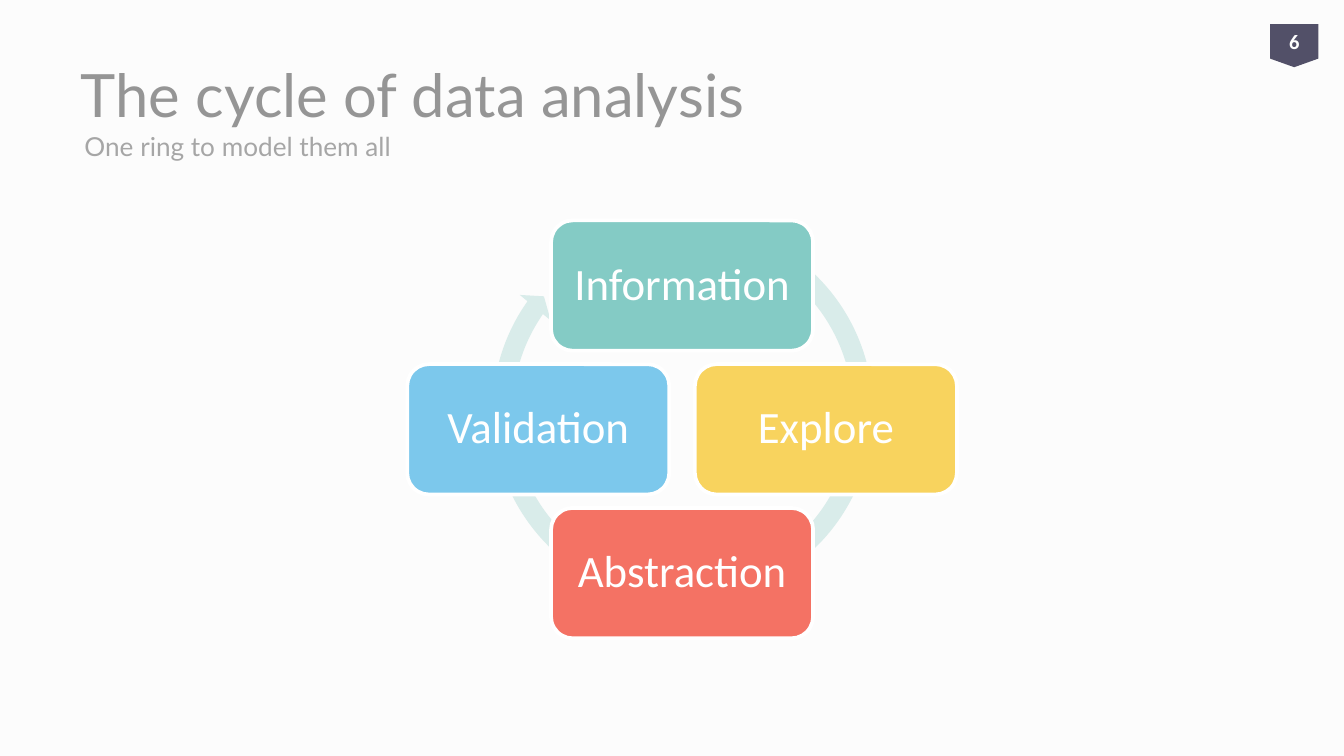
from dataclasses import dataclass

from pptx import Presentation
from pptx.dml.color import RGBColor
from pptx.enum.shapes import MSO_SHAPE
from pptx.enum.text import MSO_ANCHOR, PP_ALIGN
from pptx.shapes.autoshape import Shape
from pptx.slide import Slide
from pptx.util import Emu, Pt

SCALE = 4572
MID_X, MID_Y = 1015, 639
WIDTH, HEIGHT = 390, 194
STEP = 214
RING = 596


@dataclass(frozen=True)
class Stage:
    name: str
    color: str
    col: int
    row: int


STAGES = (
    Stage("Information", "84CBC5", 0, -1),
    Stage("Explore", "F8D35E", 1, 0),
    Stage("Abstraction", "F47264", 0, 1),
    Stage("Validation", "7CC8EC", -1, 0),
)


def px(count: int) -> Emu:
    return Emu(count * SCALE)


def rgb(code: str) -> RGBColor:
    return RGBColor.from_string(code)


def write(shape: Shape, text: str, face: str, size: int, color: str,
          align: PP_ALIGN, inset: int, bold: bool = False) -> None:
    frame = shape.text_frame
    frame.text = text
    frame.word_wrap = True
    frame.vertical_anchor = MSO_ANCHOR.MIDDLE
    frame.margin_left = frame.margin_right = px(inset)
    frame.margin_top = frame.margin_bottom = px(inset // 2)
    line = frame.paragraphs[0]
    line.alignment = align
    font = line.runs[0].font
    font.name, font.size, font.bold = face, Pt(size), bold
    font.color.rgb = rgb(color)


def add_form(slide: Slide, kind: MSO_SHAPE, left: int, top: int,
             width: int, height: int, color: str) -> Shape:
    shape = slide.shapes.add_shape(kind, px(left), px(top), px(width), px(height))
    shape.shadow.inherit = False
    shape.fill.solid()
    shape.fill.fore_color.rgb = rgb(color)
    shape.line.fill.background()
    return shape


def add_head(slide: Slide) -> None:
    title = slide.shapes.title
    title.left, title.top, title.width, title.height = map(px, (100, 46, 1766, 188))
    write(title, "The cycle of data analysis", "Lato", 32, "959595", PP_ALIGN.LEFT, 20)
    lead = slide.shapes.add_textbox(px(106), px(178), px(1682), px(80))
    write(lead, "One ring to model them all", "Lato", 14, "A6A6A6", PP_ALIGN.LEFT, 20)
    badge = add_form(slide, MSO_SHAPE.FLOWCHART_OFFPAGE_CONNECTOR, 1890, 36, 72, 64, "525068")
    write(badge, "6", "Calibri", 11, "FFFFFF", PP_ALIGN.CENTER, 0, True)


def add_ring(slide: Slide) -> None:
    ring = add_form(slide, MSO_SHAPE.CIRCULAR_ARROW, 718, 314, RING, RING, "D9ECEA")
    for index, value in enumerate((0.05, 2.73, 129.04, 179.82, 0.05)):
        ring.adjustments[index] = value


def add_stage(slide: Slide, stage: Stage) -> None:
    left = MID_X + stage.col * STEP - WIDTH // 2
    top = MID_Y + stage.row * STEP - HEIGHT // 2
    box = add_form(slide, MSO_SHAPE.ROUNDED_RECTANGLE, left, top, WIDTH, HEIGHT, stage.color)
    box.line.color.rgb = rgb("FFFFFF")
    box.line.width = Pt(2)
    write(box, stage.name, "Calibri", 24, "FFFFFF", PP_ALIGN.CENTER, 20)
    box.text_frame.paragraphs[0].line_spacing = 0.9


def main() -> None:
    deck = Presentation()
    deck.slide_width, deck.slide_height = px(2000), px(1125)
    slide = deck.slides.add_slide(deck.slide_layouts[5])
    back = slide.background.fill
    back.solid()
    back.fore_color.rgb = rgb("FCFCFC")
    add_head(slide)
    add_ring(slide)
    for stage in STAGES:
        add_stage(slide, stage)
    deck.save("out.pptx")


if __name__ == "__main__":
    main()
